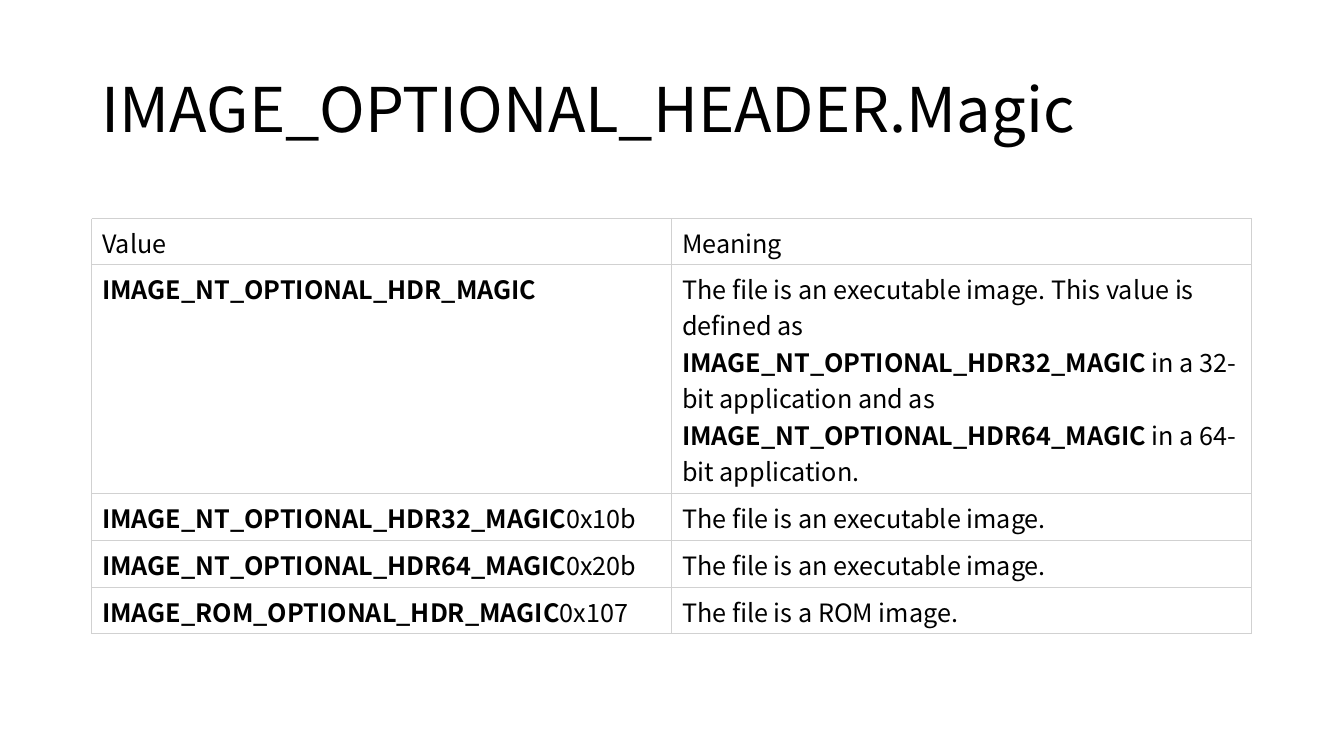
from lxml.etree import SubElement
from pptx import Presentation
from pptx.dml.color import RGBColor
from pptx.enum.text import MSO_ANCHOR
from pptx.oxml.ns import qn
from pptx.util import Emu, Pt

FONT = "Noto Sans CJK SC"
BLACK, WHITE, BORDER = "000000", "FFFFFF", "D1D1D1"
ROW_HEIGHTS = [46, 229, 47, 47, 46]
COLUMN_WIDTH = 580

# Text between ** marks is bold.
ROWS = [
    ("Value", "Meaning"),
    ("**IMAGE_NT_OPTIONAL_HDR_MAGIC**",
     "The file is an executable image. This value is defined as **IMAGE_NT_OPTIONAL_HDR32_MAGIC**"
     " in a 32-bit application and as **IMAGE_NT_OPTIONAL_HDR64_MAGIC** in a 64-bit application."),
    ("**IMAGE_NT_OPTIONAL_HDR32_MAGIC**0x10b", "The file is an executable image."),
    ("**IMAGE_NT_OPTIONAL_HDR64_MAGIC**0x20b", "The file is an executable image."),
    ("**IMAGE_ROM_OPTIONAL_HDR_MAGIC**0x107", "The file is a ROM image."),
]


def px(length):
    return Emu(round(length * 914400 / 100.8))


def color(value):
    return RGBColor.from_string(value)


def style_span(span, size, bold=False):
    span.font.name = FONT
    span.font.size = Pt(size)
    span.font.bold = bold
    span.font.color.rgb = color(BLACK)


def add_title(page, text):
    box = page.shapes.add_textbox(px(92), px(40), px(1160), px(146))
    frame = box.text_frame
    frame.word_wrap = True
    frame.vertical_anchor = MSO_ANCHOR.MIDDLE
    frame.text = text
    para = frame.paragraphs[0]
    para.line_spacing = 0.9
    style_span(para.runs[0], 44)


def add_borders(cell):
    """Draw a thin line on all four sides, placed before the cell's fill."""
    properties = cell._tc.get_or_add_tcPr()
    for index, side in enumerate(("a:lnL", "a:lnR", "a:lnT", "a:lnB")):
        line = SubElement(properties, qn(side), w=str(Pt(0.83)))
        fill = SubElement(line, qn("a:solidFill"))
        SubElement(fill, qn("a:srgbClr"), val=BORDER)
        properties.insert(index, line)


def fill_cell(cell, text):
    cell.fill.solid()
    cell.fill.fore_color.rgb = color(WHITE)
    add_borders(cell)
    para = cell.text_frame.paragraphs[0]
    for index, part in enumerate(text.split("**")):
        if part:
            span = para.add_run()
            span.text = part
            style_span(span, 18, bold=index % 2 == 1)


def add_value_table(page):
    columns = len(ROWS[0])
    frame = page.shapes.add_table(len(ROWS), columns, px(92), px(219),
                                  px(COLUMN_WIDTH * columns), px(sum(ROW_HEIGHTS)))
    table = frame.table
    table.first_row = table.horz_banding = False
    for column in table.columns:
        column.width = px(COLUMN_WIDTH)
    for row, height, texts in zip(table.rows, ROW_HEIGHTS, ROWS):
        row.height = px(height)
        for cell, text in zip(row.cells, texts):
            fill_cell(cell, text)


def main():
    deck = Presentation()
    deck.slide_width, deck.slide_height = px(1344), px(756)
    page = deck.slides.add_slide(deck.slide_layouts[6])
    add_title(page, "IMAGE_OPTIONAL_HEADER.Magic")
    add_value_table(page)
    deck.save("out.pptx")


if __name__ == "__main__":
    main()
